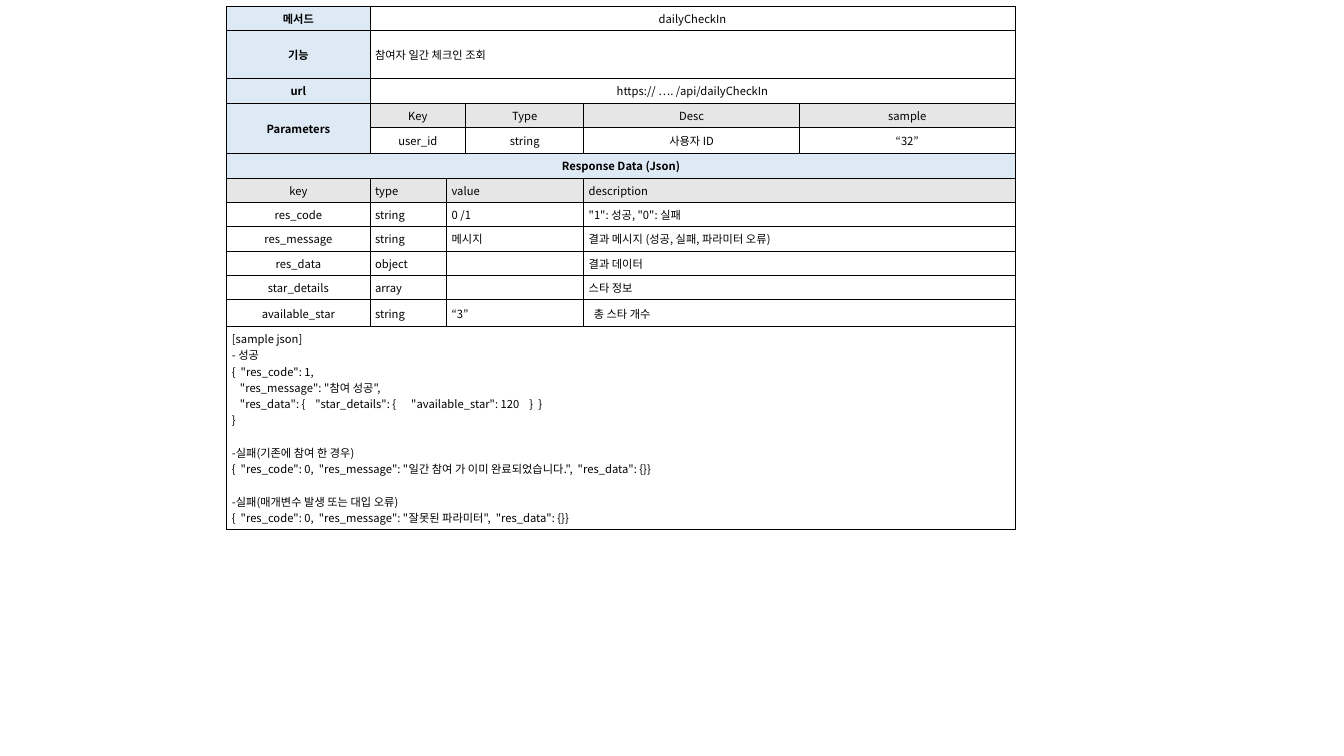
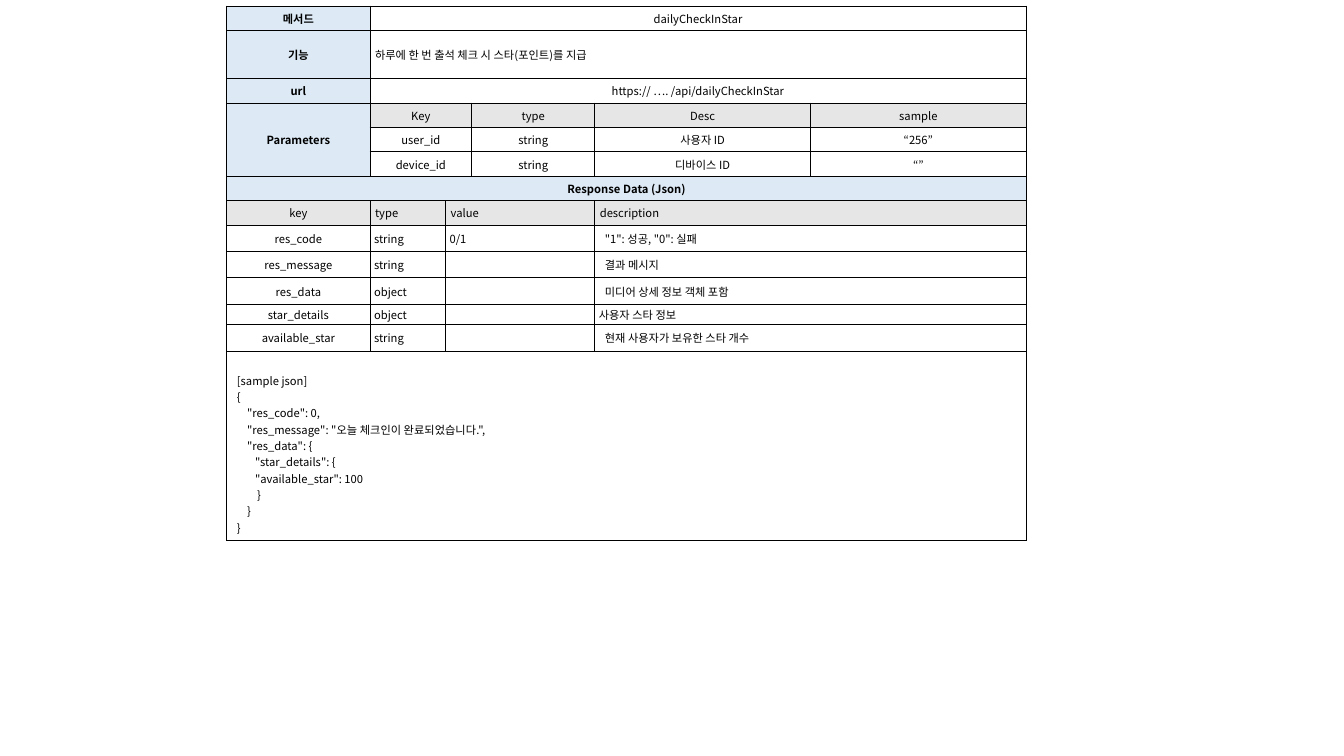
from dataclasses import dataclass

import lxml.etree
import pptx
import pptx.dml.color
import pptx.enum.text
import pptx.oxml.ns
import pptx.util

Inches = pptx.util.Inches
Pt = pptx.util.Pt
Color = pptx.dml.color.RGBColor
CENTER = pptx.enum.text.PP_ALIGN.CENTER
LEFT = pptx.enum.text.PP_ALIGN.LEFT
MIDDLE = pptx.enum.text.MSO_ANCHOR.MIDDLE
TOP = pptx.enum.text.MSO_ANCHOR.TOP
qn = pptx.oxml.ns.qn


@dataclass(frozen=True)
class Theme:
    """Colours, type and cell insets shared by every API sheet."""
    font: str = "Noto Sans CJK KR"
    size: float = 8
    line_gap: float = 11.6
    border: float = 0.75
    ink: str = "000000"
    label: str = "DDEAF6"
    header: str = "E7E6E6"
    paper: str = "FFFFFF"
    normal: tuple = (0.05, 0.04)
    tight: tuple = (0.04, 0.02)
    roomy: tuple = (0.1, 0.05)


THEME = Theme()


@dataclass(frozen=True)
class Line:
    """One line of sample JSON with its indent and an optional gap above."""
    text: str
    indent: float = 0
    gap: bool = False


@dataclass(frozen=True)
class ApiSheet:
    """Content and measures of one API method."""
    method: str
    purpose: str
    url: str
    parameters: list
    responses: list
    sample: list
    columns: list
    rows: list
    sample_inset: tuple
    sample_top: float


def style_paragraph(paragraph, align, bold=False):
    """Apply the theme's type to a paragraph."""
    paragraph.alignment = align
    font = paragraph.font
    font.size = Pt(THEME.size)
    font.bold = bold
    font.color.rgb = Color.from_string(THEME.ink)
    font.name = THEME.font
    defaults = paragraph._p.pPr.find(qn("a:defRPr"))
    lxml.etree.SubElement(defaults, qn("a:ea"), typeface=THEME.font)


def add_borders(cell):
    """Draw a thin line on all four sides of a cell."""
    properties = cell._tc.get_or_add_tcPr()
    for side in ("lnL", "lnR", "lnT", "lnB"):
        line = lxml.etree.SubElement(properties, qn(f"a:{side}"), w=str(Pt(THEME.border)))
        fill = lxml.etree.SubElement(line, qn("a:solidFill"))
        lxml.etree.SubElement(fill, qn("a:srgbClr"), val=THEME.ink)


def set_insets(cell, insets):
    """Set the side and vertical insets of a cell."""
    side, vertical = insets
    cell.margin_left = cell.margin_right = Inches(side)
    cell.margin_top = cell.margin_bottom = Inches(vertical)


def fill_cell(table, row, first, last, text, color=THEME.paper, align=CENTER,
              bold=False, insets=THEME.normal, row_span=1):
    """Merge the given columns into one cell, then colour it and write its text."""
    cell = table.cell(row, first)
    if last > first or row_span > 1:
        cell.merge(table.cell(row + row_span - 1, last))
    cell.fill.solid()
    cell.fill.fore_color.rgb = Color.from_string(color)
    cell.vertical_anchor = MIDDLE
    set_insets(cell, insets)
    cell.text = text
    style_paragraph(cell.text_frame.paragraphs[0], align, bold)
    return cell


def add_label(table, row, text, last=0, row_span=1):
    """Write a bold label on blue."""
    fill_cell(table, row, 0, last, text, THEME.label, bold=True, row_span=row_span)


def add_parameter(table, row, values, color=THEME.paper):
    """Write one row of the parameter grid."""
    for (first, last), text in zip(((1, 2), (3, 3), (4, 4), (5, 5)), values):
        fill_cell(table, row, first, last, text, color)


def add_response(table, row, values, outer=THEME.normal, inner=THEME.normal,
                 color=THEME.paper):
    """Write one row of the response grid."""
    spans = ((0, 0), (1, 1), (2, 3), (4, 5))
    aligns = (CENTER, LEFT, LEFT, LEFT)
    insets = (outer, inner, inner, outer)
    for (first, last), align, inset, text in zip(spans, aligns, insets, values):
        fill_cell(table, row, first, last, text, color, align, insets=inset)


def add_sample(table, row, sheet):
    """Write the sample JSON across the last row."""
    cell = fill_cell(table, row, 0, 5, "", align=LEFT, insets=sheet.sample_inset)
    cell.margin_top = Inches(sheet.sample_top)
    cell.vertical_anchor = TOP
    cell.text = "\n".join(line.text for line in sheet.sample)
    for paragraph, line in zip(cell.text_frame.paragraphs, sheet.sample):
        style_paragraph(paragraph, LEFT)
        if line.indent:
            paragraph._p.pPr.set("marL", str(Inches(line.indent)))
        if line.gap:
            paragraph.space_before = Pt(THEME.line_gap)


def add_grid(slide, sheet):
    """Add the bordered table that holds an API sheet."""
    frame = slide.shapes.add_table(
        len(sheet.rows), len(sheet.columns), Inches(2.25), Inches(0.06),
        Inches(sum(sheet.columns)), Inches(sum(sheet.rows)))
    table = frame.table
    table.first_row = table.horz_banding = False
    for column, width in zip(table.columns, sheet.columns):
        column.width = Inches(width)
    for row, height in zip(table.rows, sheet.rows):
        row.height = Inches(height)
    for cell in table.iter_cells():
        add_borders(cell)
    return table


def add_sheet(presentation, sheet):
    """Add a slide that documents one API method."""
    slide = presentation.slides.add_slide(presentation.slide_layouts[6])
    table = add_grid(slide, sheet)
    heading = (("메서드", sheet.method, CENTER), ("기능", sheet.purpose, LEFT),
               ("url", sheet.url, CENTER))
    for row, (label, text, align) in enumerate(heading):
        add_label(table, row, label)
        fill_cell(table, row, 1, 5, text, align=align)
    row = len(heading)
    add_label(table, row, "Parameters", row_span=len(sheet.parameters))
    for index, values in enumerate(sheet.parameters):
        add_parameter(table, row + index, values, THEME.paper if index else THEME.header)
    row += len(sheet.parameters)
    add_label(table, row, "Response Data (Json)", last=5)
    add_response(table, row + 1, ("key", "type", "value", "description"),
                 color=THEME.header)
    for index, (values, outer, inner) in enumerate(sheet.responses):
        add_response(table, row + 2 + index, values, outer, inner)
    add_sample(table, len(sheet.rows) - 1, sheet)


def daily_check_in():
    """Return the sheet for the check-in query."""
    normal, roomy = THEME.normal, THEME.roomy
    return ApiSheet(
        method="dailyCheckIn",
        purpose="참여자 일간 체크인 조회",
        url="https:// …. /api/dailyCheckIn",
        parameters=[("Key", "Type", "Desc", "sample"),
                    ("user_id", "string", "사용자 ID", "“32”")],
        responses=[
            (("res_code", "string", "0 /1", '"1": 성공, "0": 실패'), normal, normal),
            (("res_message", "string", "메시지", "결과 메시지 (성공, 실패, 파라미터 오류)"),
             normal, normal),
            (("res_data", "object", "", "결과 데이터"), normal, normal),
            (("star_details", "array", "", "스타 정보"), normal, normal),
            (("available_star", "string", "“3”", "총 스타 개수"), roomy, normal)],
        sample=[
            Line("[sample json]"),
            Line("- 성공"),
            Line('{  "res_code": 1,'),
            Line('"res_message": "참여 성공",', 0.08),
            Line('"res_data": {    "star_details": {      "available_star": 120    }  }', 0.08),
            Line("}"),
            Line("-실패(기존에 참여 한 경우)", gap=True),
            Line('{  "res_code": 0,  "res_message": "일간 참여 가 이미 완료되었습니다.",  "res_data": {}}'),
            Line("-실패(매개변수 발생 또는 대입 오류)", gap=True),
            Line('{  "res_code": 0,  "res_message": "잘못된 파라미터",  "res_data": {}}')],
        columns=[1.42, 0.76, 0.19, 1.17, 2.14, 2.14],
        rows=[0.24, 0.48, 0.24, 0.24, 0.26] + [0.24] * 6 + [0.25, 2.02],
        sample_inset=normal,
        sample_top=0.04)


def daily_check_in_star():
    """Return the sheet for the star reward."""
    tight, roomy = THEME.tight, THEME.roomy
    return ApiSheet(
        method="dailyCheckInStar",
        purpose="하루에 한 번 출석 체크 시 스타(포인트)를 지급",
        url="https:// …. /api/dailyCheckInStar",
        parameters=[("Key", "type", "Desc", "sample"),
                    ("user_id", "string", "사용자 ID", "“256”"),
                    ("device_id", "string", "디바이스 ID", "“”")],
        responses=[
            (("res_code", "string", "0/1", '"1": 성공, "0": 실패'), roomy, tight),
            (("res_message", "string", "", "결과 메시지"), roomy, tight),
            (("res_data", "object", "", "미디어 상세 정보 객체 포함"), roomy, tight),
            (("star_details", "object", "", "사용자 스타 정보"), tight, tight),
            (("available_star", "string", "", "현재 사용자가 보유한 스타 개수"), roomy, tight)],
        sample=[
            Line("[sample json]"),
            Line("{"),
            Line('"res_code": 0,', 0.1),
            Line('"res_message": "오늘 체크인이 완료되었습니다.",', 0.1),
            Line('"res_data": {', 0.1),
            Line('"star_details": {', 0.18),
            Line('"available_star": 100', 0.18),
            Line("}", 0.2),
            Line("}", 0.1),
            Line("}")],
        columns=[1.42, 0.75, 0.26, 1.22, 2.14, 2.14],
        rows=[0.24, 0.48] + [0.24] * 6 + [0.26] * 3 + [0.2, 0.26, 1.88],
        sample_inset=roomy,
        sample_top=0.21)


def main():
    """Build and save the API documentation."""
    presentation = pptx.Presentation()
    presentation.slide_width = Inches(13.33)
    presentation.slide_height = Inches(7.5)
    for sheet in (daily_check_in(), daily_check_in_star()):
        add_sheet(presentation, sheet)
    presentation.save("out.pptx")


if __name__ == "__main__":
    main()
